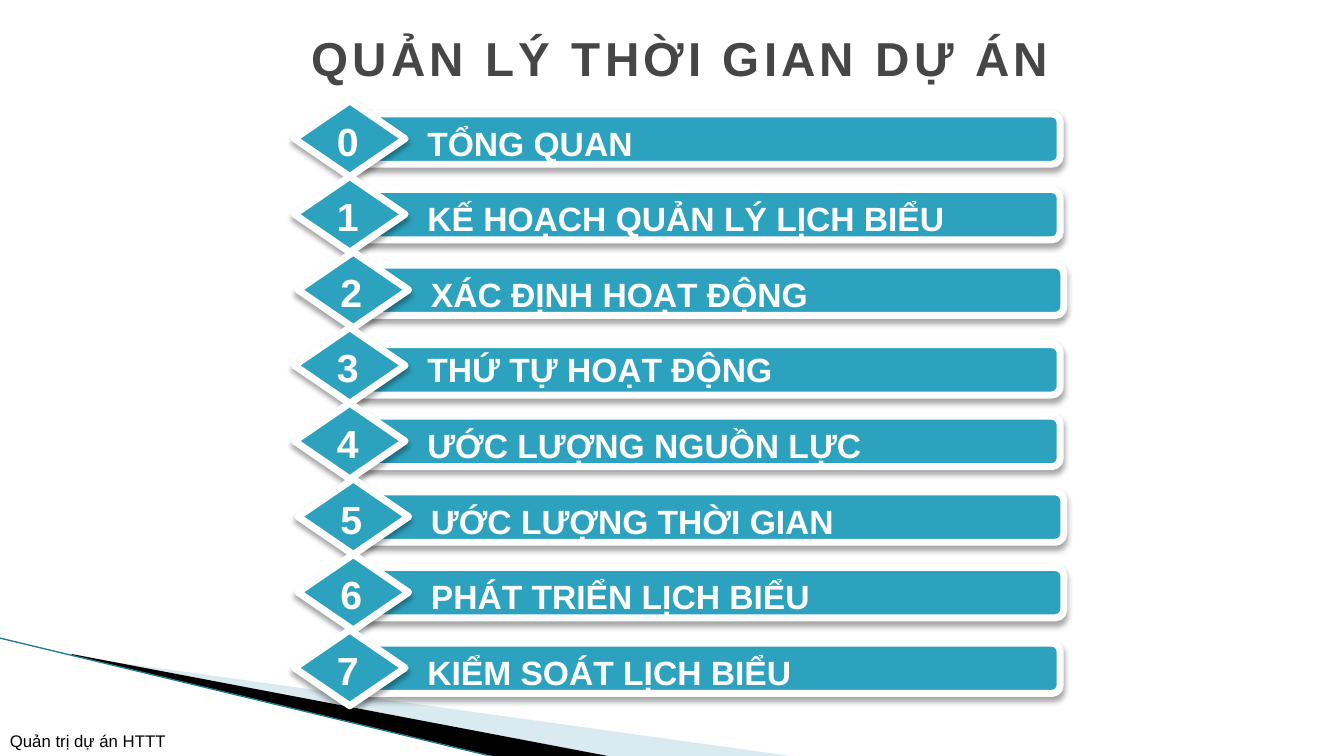
from dataclasses import dataclass

from lxml.etree import SubElement as Sub
from pptx import Presentation
from pptx.dml.color import RGBColor as Rgb
from pptx.enum.shapes import MSO_CONNECTOR as Link, MSO_SHAPE as Kind
from pptx.enum.text import MSO_ANCHOR as Anchor, MSO_AUTO_SIZE as Fit, PP_ALIGN as Align
from pptx.oxml.ns import qn
from pptx.util import Cm, Pt


@dataclass(frozen=True)
class Theme:
    """Colours, font and type sizes of the slide."""
    font: str = "Arial"
    teal: str = "2DA2BF"
    pale: str = "A0CBDC"
    edge: str = "227A8F"
    gray: str = "464646"
    white: str = "FFFFFF"
    black: str = "000000"
    title: int = 34
    digit: int = 28
    label: int = 24
    foot: int = 12


class Deck:
    """Draws themed elements on the current slide."""

    def __init__(self, theme):
        """Open a deck with one blank slide."""
        self.theme = theme
        self.show = Presentation()
        self.show.slide_width, self.show.slide_height = Cm(33.87), Cm(19.05)
        self.slide = self.show.slides.add_slide(self.show.slide_layouts[6])
        self.home = self.slide.shapes

    def group(self):
        """Send the next elements to a new group."""
        self.home = self.slide.shapes.add_group_shape().shapes

    def wedge(self, points, color, alpha=100):
        """Draw a filled polygon."""
        start, *rest = [(Cm(x), Cm(y)) for x, y in points]
        build = self.home.build_freeform(*start)
        build.add_line_segments(rest)
        shape = build.convert_to_shape()
        shape.shadow.inherit = False
        shape.fill.solid()
        shape.fill.fore_color.rgb = Rgb.from_string(color)
        shape.line.fill.background()
        if alpha < 100:
            tint = next(shape._element.spPr.iter(qn("a:srgbClr")))
            Sub(tint, qn("a:alpha"), val=str(alpha * 1000))

    def line(self, x1, y1, x2, y2, color, width):
        """Draw a straight line."""
        line = self.home.add_connector(Link.STRAIGHT, Cm(x1), Cm(y1), Cm(x2), Cm(y2))
        line.line.color.rgb = Rgb.from_string(color)
        line.line.width = Pt(width)
        Sub(line._element.spPr, qn("a:effectLst"))

    def badge(self, kind, x, y, w, h):
        """Draw a teal shape with a white rim and a soft shadow."""
        shape = self.home.add_shape(kind, Cm(x), Cm(y), Cm(w), Cm(h))
        shape.shadow.inherit = False
        shape.fill.solid()
        shape.fill.fore_color.rgb = Rgb.from_string(self.theme.teal)
        shape.line.color.rgb = Rgb.from_string(self.theme.white)
        shape.line.width = Pt(5)
        effects = shape._element.spPr.find(qn("a:effectLst"))
        cast = Sub(effects, qn("a:outerShdw"), blurRad=str(Pt(4)), dist=str(Pt(3)),
                   dir="5400000", rotWithShape="0")
        tint = Sub(cast, qn("a:srgbClr"), val=self.theme.black)
        Sub(tint, qn("a:alpha"), val="35000")

    def text(self, words, x, y, w, h, size, color, bold=True, align=Align.LEFT,
             anchor=Anchor.TOP, wrap=True, grow=False, gap=0):
        """Write one line of text in a box."""
        frame = self.home.add_textbox(Cm(x), Cm(y), Cm(w), Cm(h)).text_frame
        frame.word_wrap = wrap
        frame.vertical_anchor = anchor
        frame.auto_size = Fit.SHAPE_TO_FIT_TEXT if grow else Fit.NONE
        para = frame.paragraphs[0]
        para.alignment = align
        run = para.add_run()
        run.text = words
        run.font.name = self.theme.font
        run.font.size = Pt(size)
        run.font.bold = bold
        run.font.color.rgb = Rgb.from_string(color)
        if gap:
            run.font._element.set("spc", str(gap * 100))

    def topic(self, index, words, shift=0, drop=0):
        """Draw one numbered row of the agenda."""
        top = 2.54 + 1.905 * index
        look = self.theme
        self.group()
        self.badge(Kind.ROUNDED_RECTANGLE, 8.97 + shift, top + 0.33 + drop, 17.75, 1.27)
        self.badge(Kind.DIAMOND, 7.42 + shift, top, 2.79, 1.91)
        self.text(words, 10.52 + shift, top + 0.42, 17.5, 1.3, look.label, look.white,
                  grow=True)
        self.text(str(index), 8.23 + shift, top + 0.28, 1.07, 1.45, look.digit,
                  look.white, align=Align.CENTER, wrap=False, grow=True)


TOPICS = [
    ("TỔNG QUAN", 0, 0),
    ("KẾ HOẠCH QUẢN LÝ LỊCH BIỂU", 0, 0),
    ("XÁC ĐỊNH HOẠT ĐỘNG", 0.09, 0),
    ("THỨ TỰ HOẠT ĐỘNG", 0, 0.1),
    ("ƯỚC LƯỢNG NGUỒN LỰC", 0, 0),
    ("ƯỚC LƯỢNG THỜI GIAN", 0.09, 0),
    ("PHÁT TRIỂN LỊCH BIỂU", 0.09, 0),
    ("KIỂM SOÁT LỊCH BIỂU", 0, 0),
]


def main():
    """Build the agenda slide and save it."""
    look = Theme()
    deck = Deck(look)
    deck.wedge([(1.85, 16.54), (20.14, 19.08), (15.44, 19.08), (1.85, 16.51)],
               look.pale, 40)
    deck.wedge([(1.8, 16.48), (15.47, 19.08), (12.6, 19.1), (1.83, 16.51)], look.black)
    deck.line(0, 16.08, 12.57, 19.1, look.edge, 0.95)
    deck.text("Quản trị dự án HTTT", 0, 18.03, 9.6, 1.02, look.foot, look.black,
              bold=False, anchor=Anchor.BOTTOM)
    deck.text("QUẢN LÝ THỜI GIAN DỰ ÁN", 6.35, 0.2, 21.59, 2.49, look.title, look.gray,
              align=Align.CENTER, anchor=Anchor.MIDDLE, gap=3)
    for index, (words, shift, drop) in enumerate(TOPICS):
        deck.topic(index, words, shift, drop)
    deck.show.save("out.pptx")


if __name__ == "__main__":
    main()
